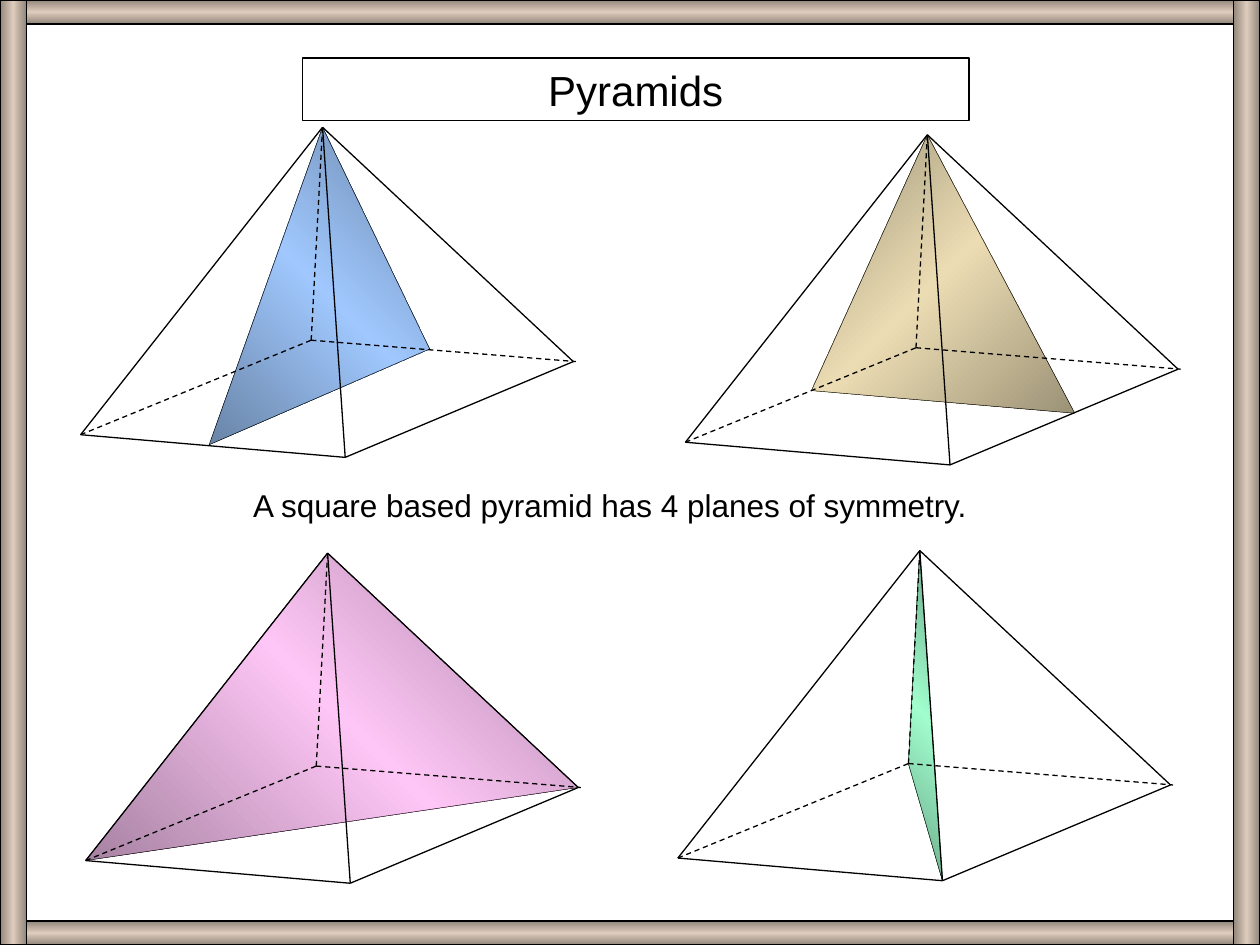
"""Build a slide showing the four planes of symmetry of a square based pyramid."""
from copy import deepcopy

from lxml import etree
from pptx import Presentation
from pptx.dml.color import RGBColor
from pptx.enum.dml import MSO_LINE
from pptx.enum.shapes import MSO_CONNECTOR, MSO_SHAPE
from pptx.enum.text import PP_ALIGN
from pptx.oxml.ns import qn
from pptx.util import Inches, Pt

RECT = MSO_SHAPE.RECTANGLE
STRAIGHT = MSO_CONNECTOR.STRAIGHT
DASH = MSO_LINE.DASH
CENTER = PP_ALIGN.CENTER


def rgb(color):
    return RGBColor.from_string(color)


def style(sp, edge, middle, angle, width):
    sp.shadow.inherit = False
    sp.line.color.rgb = rgb("000000")
    sp.line.width = Pt(width)
    sp.fill.gradient()
    sp.fill.gradient_angle = 360 - angle
    stops = sp._element.spPr.find(qn("a:gradFill")).find(qn("a:gsLst"))
    stops.insert(1, deepcopy(stops[0]))
    for stop, color, position in zip(sp.fill.gradient_stops, (edge, middle, edge), (0, 0.5, 1)):
        stop.color.rgb = rgb(color)
        stop.position = position


prs = Presentation()
W, H = 10, 7.5
prs.slide_width, prs.slide_height = Inches(W), Inches(H)
s = prs.slides.add_slide(prs.slide_layouts[6])

apex, left, front, right, back = (1.92, 0), (0, 2.44), (2.1, 2.62), (3.91, 1.86), (1.83, 1.69)
edges = [
    (left, front, False), (front, right, False), (left, back, True), (back, (3.93, 1.86), True),
    (front, apex, False), (back, apex, True), (left, apex, False), (right, apex, False),
]
pyramids = [
    (0.64, 1.01, [(1.02, 2.52), (2.77, 1.76), apex], "6984A7", "A0C8FE", 135),
    (5.44, 1.07, [(1, 2.03), (3.09, 2.21), apex], "9B9176", "EBDCB3", 225),
    (0.68, 4.39, [left, right, apex], "A782A2", "FEC6F6", 135),
    (5.38, 4.37, [front, apex, back], "6AA787", "A1FDCD", 135),
]
for x0, y0, plane, edge, middle, angle in pyramids:
    points = [(Inches(x0 + x), Inches(y0 + y)) for x, y in plane]
    builder = s.shapes.build_freeform(*points[0])
    builder.add_line_segments(points[1:])
    style(builder.convert_to_shape(), edge, middle, angle, 0.25)
    group = s.shapes.add_group_shape()
    for (x1, y1), (x2, y2), hidden in edges:
        line = group.shapes.add_connector(
            STRAIGHT, Inches(x0 + x1), Inches(y0 + y1), Inches(x0 + x2), Inches(y0 + y2))
        line.line.color.rgb = rgb("000000")
        line.line.width = Pt(0.75)
        if hidden:
            line.line.dash_style = DASH
        etree.SubElement(line._element.spPr, qn("a:effectLst"))

title = s.shapes.add_shape(RECT, Inches(2.4), Inches(0.46), Inches(5.29), Inches(0.5))
title.shadow.inherit = False
title.fill.background()
title.line.color.rgb = rgb("000000")
title.line.width = Pt(0.75)
caption = s.shapes.add_textbox(Inches(1.91), Inches(3.81), Inches(7.38), Inches(0.4))
for sp, text, size in [
    (title, "Pyramids", 24),
    (caption, "A square based pyramid has 4 planes of symmetry.", 18),
]:
    tf = sp.text_frame
    tf.word_wrap = True
    p = tf.paragraphs[0]
    p.text = text
    p.font.name = "Arial"
    p.font.size = Pt(size)
    p.font.color.rgb = rgb("000000")
title.text_frame.paragraphs[0].alignment = CENTER

bar, post = 0.19, 0.21
for x, y, w, h, angle in [
    (0, 0, W, bar, 90), (0, H - bar, W, bar, 90),
    (0, 0, post, H, 180), (W - post, 0, post, H, 180),
]:
    sp = s.shapes.add_shape(RECT, Inches(x), Inches(y), Inches(w), Inches(h))
    style(sp, "92867C", "DECCBC", angle, 0.75)

prs.save("out.pptx")
